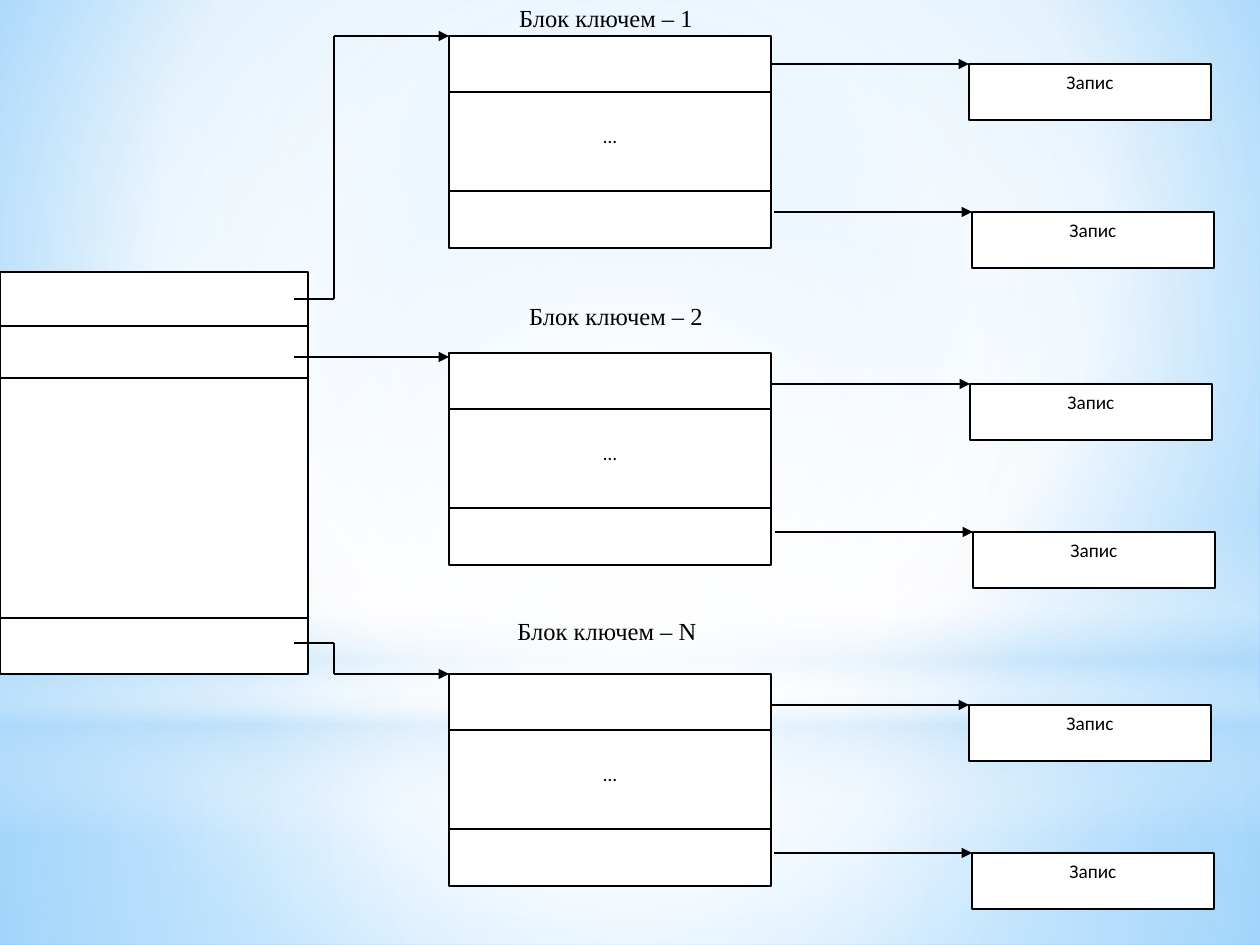
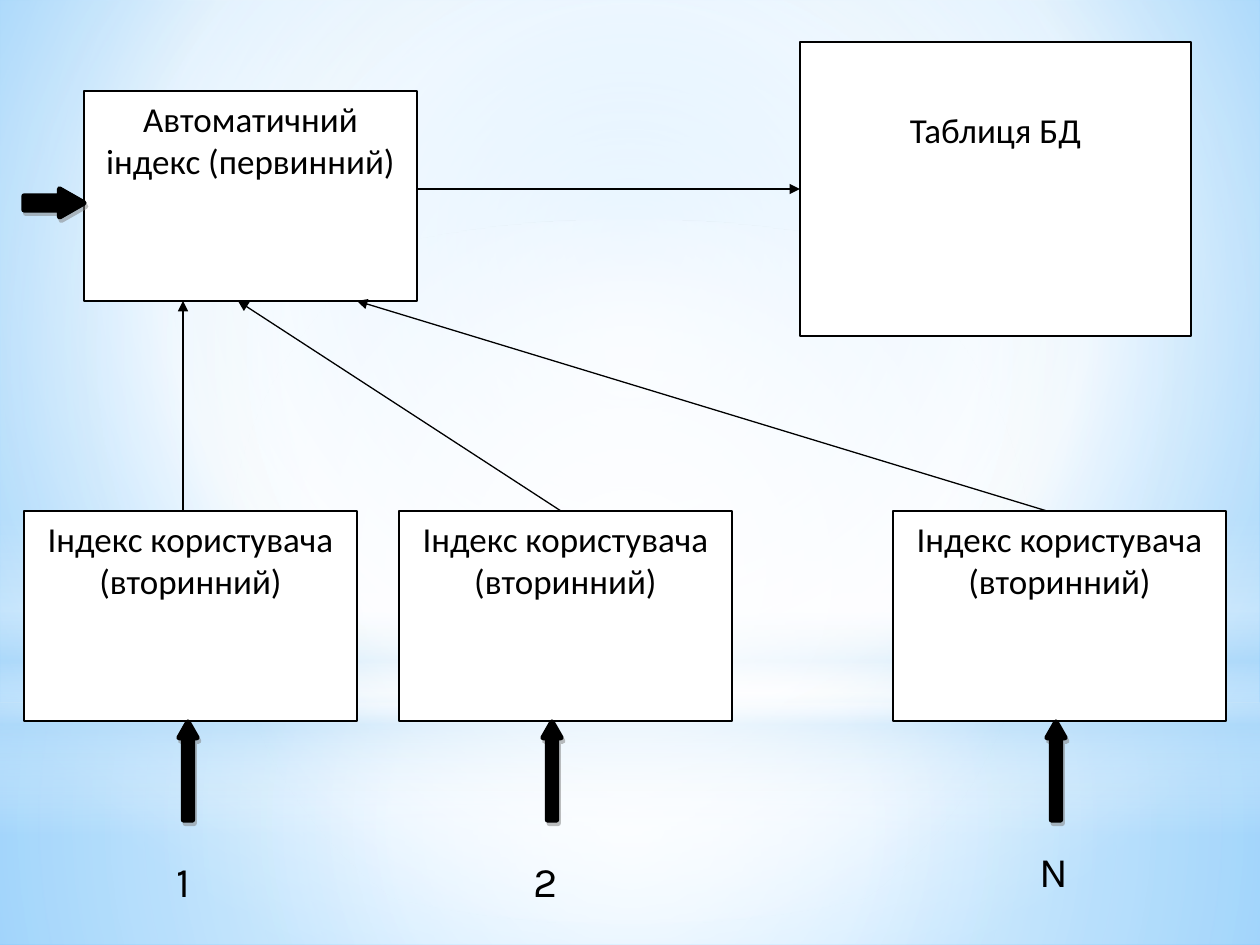
from lxml import etree
from pptx import Presentation
from pptx.dml.color import RGBColor
from pptx.enum.shapes import MSO_CONNECTOR, MSO_SHAPE
from pptx.enum.text import MSO_ANCHOR, PP_ALIGN
from pptx.oxml import parse_xml
from pptx.oxml.ns import nsdecls, qn
from pptx.util import Emu, Pt

RECTANGLE, OVAL, ARROW = MSO_SHAPE.RECTANGLE, MSO_SHAPE.OVAL, MSO_SHAPE.RIGHT_ARROW
STRAIGHT = MSO_CONNECTOR.STRAIGHT
TOP, MIDDLE = MSO_ANCHOR.TOP, MSO_ANCHOR.MIDDLE
LEFT, CENTER = PP_ALIGN.LEFT, PP_ALIGN.CENTER

COLORS = {
    "ink": "000000", "paper": "FFFFFF", "sky": "9ED5FF",
    "deep": "5BB9FF", "mist": "B4DCFA", "shadow": "7F7F7F",
}
INK = RGBColor.from_string(COLORS["ink"])
PAPER = RGBColor.from_string(COLORS["paper"])
SCALE = 914400 / 126
WIDTH, HEIGHT = 1260, 945


def px(*lengths):
    """Turn pixel lengths into a list of EMU lengths."""
    return [Emu(round(length * SCALE)) for length in lengths]


def paint_gradient(properties, stops, focus=None):
    """Replace a solid fill by a gradient, circular if a focus rectangle is given."""
    marks = "".join(
        f'<a:gs pos="{position * 1000}"><a:srgbClr val="{COLORS[color]}">'
        f'<a:alpha val="{opacity * 1000}"/></a:srgbClr></a:gs>'
        for position, color, opacity in stops)
    if focus:
        sides = " ".join(f'{side}="{value * 1000}"' for side, value in zip("ltrb", focus))
        direction = f'<a:path path="circle"><a:fillToRect {sides}/></a:path>'
    else:
        direction = '<a:lin ang="5400000" scaled="0"/>'
    gradient = parse_xml(f'<a:gradFill {nsdecls("a")} rotWithShape="1">'
                         f'<a:gsLst>{marks}</a:gsLst>{direction}</a:gradFill>')
    properties.replace(properties.find(qn("a:solidFill")), gradient)


deck = Presentation()
deck.slide_width, deck.slide_height = px(WIDTH, HEIGHT)
pages = [deck.slides.add_slide(deck.slide_layouts[6]) for _ in range(2)]

# Shared background: a gradient and four translucent layers on the master
master = deck.slide_master
master.background.fill.solid()
paint_gradient(master.element.find(".//" + qn("p:bgPr")),
               [(0, "sky", 100), (60, "paper", 100), (100, "deep", 100)], (20, 10, 20, 60))
MIDPOINT = (50, 50, 50, 50)
layers = [
    (RECTANGLE, 703, 242, [(0, "paper", 91), (37, "paper", 76), (100, "mist", 79)], MIDPOINT),
    (RECTANGLE, 0, 703, [(0, "paper", 89), (48, "paper", 62), (100, "mist", 79)], MIDPOINT),
    (RECTANGLE, 519, 315, [(0, "paper", 0), (29, "paper", 30), (45, "mist", 40),
                           (55, "paper", 26), (65, "mist", 60), (100, "paper", 0)], None),
    (OVAL, 220, 703, [(0, "paper", 100), (56, "paper", 0)], MIDPOINT),
]
for index, (kind, top, height, stops, focus) in enumerate(layers):
    layer = pages[0].shapes.add_shape(kind, *px(0, top, WIDTH, height))
    layer.shadow.inherit = False
    layer.fill.solid()
    layer.line.fill.background()
    paint_gradient(layer.element.spPr, stops, focus)
    layer.element.nvSpPr.cNvPr.set("id", str(100 + index))
    master.shapes.element.insert(2 + index, layer.element)

# Slide 1: index table, key blocks and records
# box: left, top, width, height, text, size, top margin
# line: x1, y1, x2, y2, has arrowhead
# label: left, top, width, height, text, size, font, alignment, anchor
BLOCK_LEFT, BLOCK_WIDTH, BLOCK_HEIGHT = 449, 322, 212
BLOCK_RIGHT = BLOCK_LEFT + BLOCK_WIDTH
INDEX_WIDTH, STUB, BEND = 308, 294, 334
key_boxes = [(0, 272, INDEX_WIDTH, 402, "", 11, 6)]
key_lines = [(0, y, INDEX_WIDTH, y, False) for y in (326, 378, 618)]
key_labels = []
blocks = [  # name, top, first record top, record shift, label centre x and y
    ("1", 36, 64, 0, 606, 18),
    ("2", 353, 384, 1, 616, 316),
    ("N", 674, 705, 0, 607, 631),
]
for name, top, record_top, shift, label_x, label_y in blocks:
    key_boxes.append((BLOCK_LEFT, top, BLOCK_WIDTH, BLOCK_HEIGHT, "…", 11, 88))
    for offset in (56, 155):
        key_lines.append((BLOCK_LEFT, top + offset, BLOCK_RIGHT, top + offset, False))
    for row in range(2):
        step = 3 * row + shift
        y = record_top + 148 * row
        key_boxes.append((969 + step, y, 242, 56, "Запис", 11, 6))
        key_lines.append((BLOCK_RIGHT + step, y, 969 + step, y, True))
    key_labels.append((label_x - 120, label_y - 20, 240, 40, f"Блок ключем – {name}",
                       14, "Times New Roman", CENTER, MIDDLE))
key_lines.append((STUB, 357, BLOCK_LEFT, 357, True))
for start, end in ((299, 36), (643, 674)):
    key_lines += [(STUB, start, BEND, start, False), (BEND, start, BEND, end, False),
                  (BEND, end, BLOCK_LEFT, end, True)]

# Slide 2: primary index, table and user indexes
# arrow: left, top, width, height, rotation
index_boxes = [(84, 91, 333, 210, "Автоматичний індекс (первинний)", 20, 6),
               (800, 42, 391, 294, "Таблиця БД", 20, 66)]
index_lines = [(417, 189, 800, 189, True)]
index_arrows = [(24, 189, 60, 28, 0)]
index_labels = []
users = [  # name, box left, line start x, line end x, arrow left, label left and top
    ("1", 24, 183, 183, 139, 164, 849),
    ("2", 399, 561, 238, 503, 521, 849),
    ("N", 893, 1047, 357, 1007, 1027, 839),
]
for name, left, start_x, end_x, arrow_left, label_left, label_top in users:
    index_boxes.append((left, 511, 333, 210, "Індекс користувача (вторинний)", 20, 6))
    index_lines.append((start_x, 511, end_x, 301, True))
    index_arrows.append((arrow_left, 762, 98, 18, 270))
    index_labels.append((label_left, label_top, 64, 64, name, 24, "Karla", LEFT, TOP))

diagrams = [(key_boxes, key_lines, [], key_labels),
            (index_boxes, index_lines, index_arrows, index_labels)]

for page, (boxes, lines, arrows, labels) in zip(pages, diagrams):
    for left, top, width, height, text, size, margin in boxes:
        box = page.shapes.add_shape(RECTANGLE, *px(left, top, width, height))
        box.shadow.inherit = False
        box.fill.solid()
        box.fill.fore_color.rgb = PAPER
        box.line.color.rgb = INK
        box.line.width = Pt(0.75)
        if text:
            frame = box.text_frame
            frame.word_wrap = True
            frame.vertical_anchor = TOP
            frame.margin_top = px(margin)[0]
            para = frame.paragraphs[0]
            para.alignment = CENTER
            para.space_after = Pt(10)
            span = para.add_run()
            span.text = text
            span.font.size = Pt(size)
            span.font.name = "Calibri"
            span.font.color.rgb = INK

    for x1, y1, x2, y2, has_head in lines:
        line = page.shapes.add_connector(STRAIGHT, *px(x1, y1, x2, y2))
        line.line.color.rgb = INK
        line.line.width = Pt(0.75)
        properties = line.element.spPr
        if has_head:
            etree.SubElement(properties.find(qn("a:ln")), qn("a:tailEnd"), type="triangle")
        etree.SubElement(properties, qn("a:effectLst"))

    for left, top, width, height, rotation in arrows:
        arrow = page.shapes.add_shape(ARROW, *px(left, top, width, height))
        arrow.rotation = rotation
        arrow.adjustments[0], arrow.adjustments[1] = 0.5, 0.875
        arrow.fill.solid()
        arrow.fill.fore_color.rgb = INK
        arrow.line.color.rgb = INK
        arrow.line.width = Pt(3)
        arrow.element.spPr.append(parse_xml(
            f'<a:effectLst {nsdecls("a")}>'
            '<a:outerShdw blurRad="0" dist="28000" dir="3780000" rotWithShape="0">'
            f'<a:srgbClr val="{COLORS["shadow"]}"><a:alpha val="50000"/></a:srgbClr>'
            '</a:outerShdw></a:effectLst>'))

    for left, top, width, height, text, size, font, alignment, anchor in labels:
        label = page.shapes.add_textbox(*px(left, top, width, height))
        frame = label.text_frame
        frame.word_wrap = True
        frame.vertical_anchor = anchor
        para = frame.paragraphs[0]
        para.alignment = alignment
        span = para.add_run()
        span.text = text
        span.font.size = Pt(size)
        span.font.name = font
        span.font.color.rgb = INK

deck.save("out.pptx")
